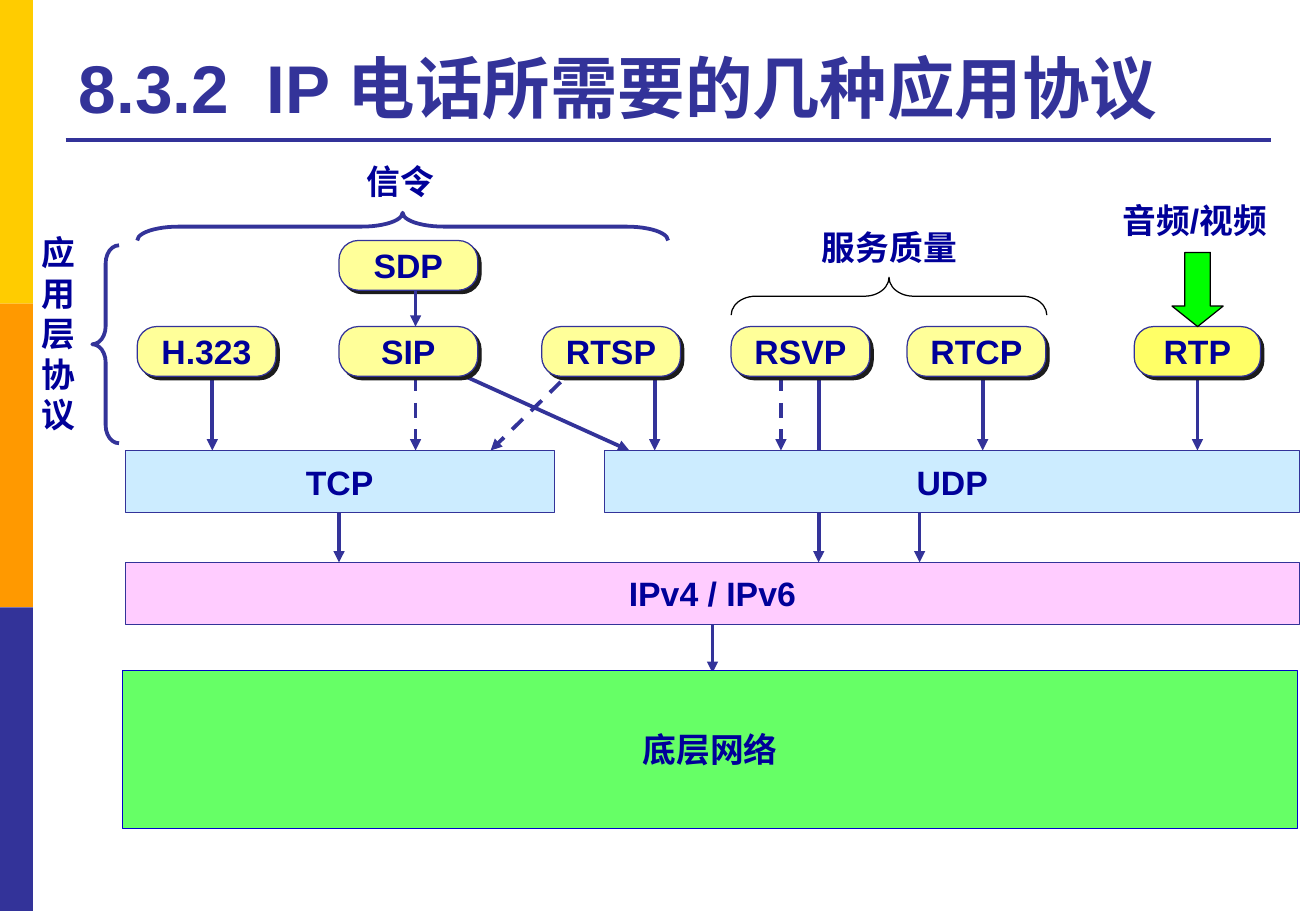
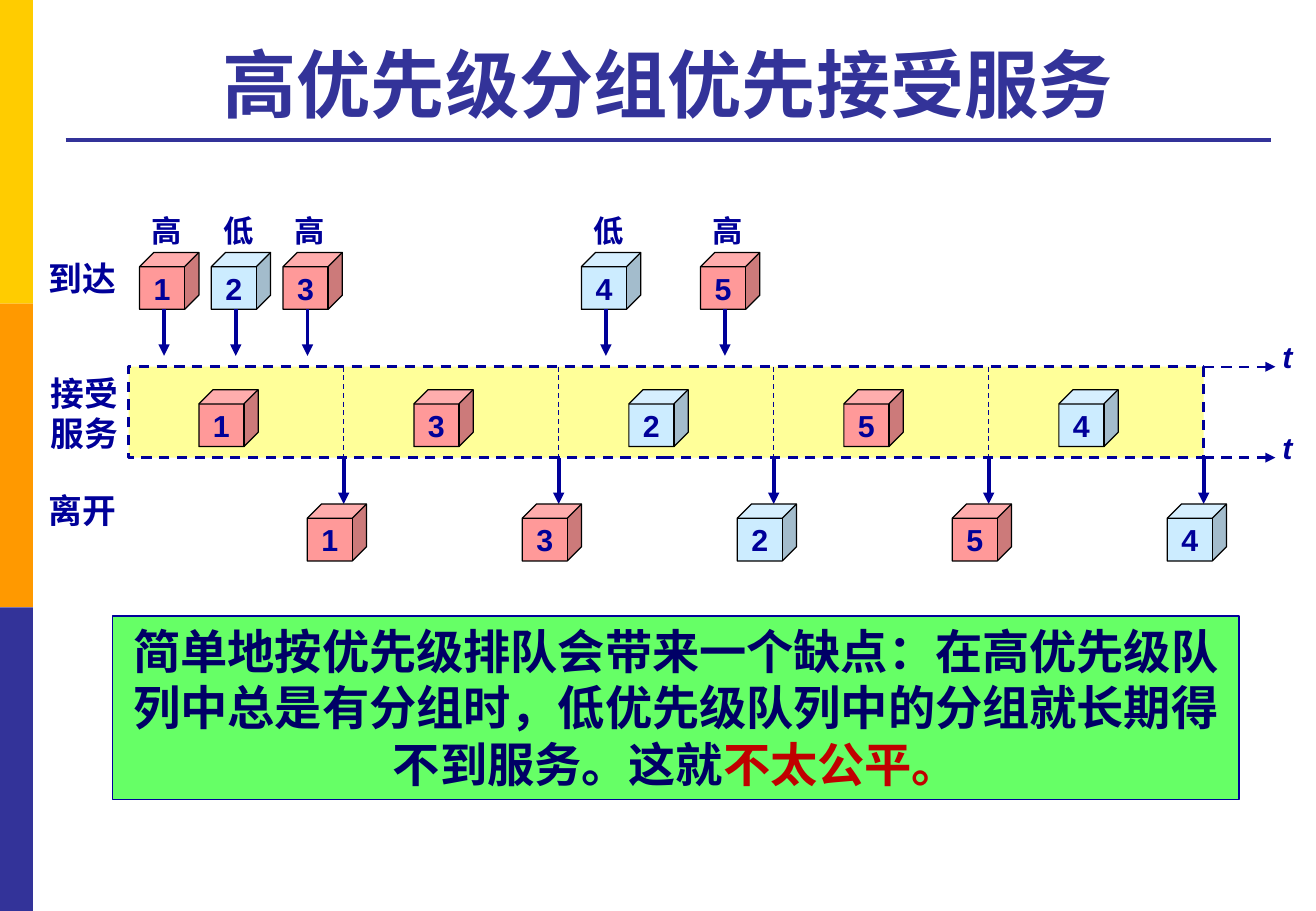
from dataclasses import dataclass

from lxml.etree import SubElement
from pptx import Presentation
from pptx.dml.color import RGBColor
from pptx.enum.dml import MSO_LINE_DASH_STYLE as Dash
from pptx.enum.shapes import MSO_CONNECTOR as Connector, MSO_SHAPE as Preset
from pptx.enum.text import MSO_ANCHOR as Anchor, PP_ALIGN as Align
from pptx.oxml.ns import qn
from pptx.util import Cm, Pt


@dataclass(frozen=True)
class Theme:
    font: str = "Arial"
    indigo: str = "333399"
    navy: str = "000099"
    deep_navy: str = "000066"
    blue: str = "0000CC"
    black: str = "000000"
    shadow: str = "1C1C1C"
    red: str = "C00000"
    gold: str = "FFCC00"
    orange: str = "FF9900"
    yellow: str = "FFFF99"
    bright_yellow: str = "FFFF66"
    sky: str = "CCECFF"
    pink: str = "FFCCFF"
    salmon: str = "FF9999"
    green: str = "66FF66"
    arrow_green: str = "00FF00"
    title: int = 44
    long_title: int = 40
    message: int = 28
    label: int = 20
    packet: int = 18
    thin: float = 0.75
    medium: float = 1.5
    thick: float = 2.25


@dataclass(frozen=True)
class Box:
    left: float
    top: float
    width: float
    height: float

    def inner(self, x, y, width, height):
        return Box(self.left + x, self.top + y, width, height)

    def lengths(self):
        return [Cm(v) for v in (self.left, self.top, self.width, self.height)]


THEME = Theme()
PAGE_WIDTH, PAGE_HEIGHT = 27.52, 19.05


def color(code):
    return RGBColor.from_string(code)


def style_font(font, size, code, italic=False):
    font.name = THEME.font
    font.size = Pt(size)
    font.bold = True
    font.italic = italic
    font.color.rgb = color(code)


def write(shape, lines, size=THEME.label, code=THEME.navy, align=Align.LEFT,
          anchor=Anchor.TOP, wrap=False, italic=False):
    frame = shape.text_frame
    frame.word_wrap = wrap
    frame.vertical_anchor = anchor
    for index, line in enumerate(lines):
        para = frame.paragraphs[0] if index == 0 else frame.add_paragraph()
        para.add_run().text = line
        para.alignment = align
        style_font(para.font, size, code, italic)
    return frame


def label(page, box, *lines, **style):
    return write(page.shapes.add_textbox(*box.lengths()), lines, **style)


def block(page, preset, box, fill=None, line=None, width=THEME.thin):
    shape = page.shapes.add_shape(preset, *box.lengths())
    shape.shadow.inherit = False
    if fill:
        shape.fill.solid()
        shape.fill.fore_color.rgb = color(fill)
    else:
        shape.fill.background()
    if line:
        shape.line.color.rgb = color(line)
        shape.line.width = Pt(width)
    else:
        shape.line.fill.background()
    return shape


def named_block(page, preset, box, text, fill, line=THEME.indigo, size=THEME.label):
    shape = block(page, preset, box, fill, line)
    frame = write(shape, [text], size, align=Align.CENTER, anchor=Anchor.MIDDLE)
    frame.margin_left = frame.margin_right = frame.margin_top = frame.margin_bottom = 0
    return shape


def stroke(page, box, start, end, code=THEME.indigo, width=THEME.thick,
           dashed=False, head=True):
    points = [Cm(v) for x, y in (start, end) for v in (box.left + x, box.top + y)]
    line = page.shapes.add_connector(Connector.STRAIGHT, *points)
    line.line.color.rgb = color(code)
    line.line.width = Pt(width)
    if dashed:
        line.line.dash_style = Dash.DASH
    if head:
        SubElement(line.line._get_or_add_ln(), qn("a:tailEnd"), type="triangle")
    SubElement(line.element.spPr, qn("a:effectLst"))


def brace(page, box, bend, line=THEME.indigo, width=THEME.thick, upward=False):
    frame = box
    if upward:
        shift = (box.width - box.height) / 2
        frame = box.inner(shift, -shift, box.height, box.width)
    shape = block(page, Preset.LEFT_BRACE, frame, line=line, width=width)
    shape.adjustments[0] = bend
    shape.rotation = 90 if upward else 0


def pill(page, box, text, fill=THEME.yellow):
    shape = named_block(page, Preset.ROUNDED_RECTANGLE, box, text, fill)
    shape.adjustments[0] = 0.39
    effects = shape.element.spPr.find(qn("a:effectLst"))
    shadow = SubElement(effects, qn("a:outerShdw"), dist=str(Pt(2.8)), dir="2700000",
                        algn="ctr", rotWithShape="0")
    SubElement(shadow, qn("a:srgbClr"), val=THEME.shadow)


def new_page(deck, title, size, align, tab=None):
    page = deck.slides.add_slide(deck.slide_layouts[6])
    height = PAGE_HEIGHT / 3
    for index, fill in enumerate((THEME.gold, THEME.orange, THEME.indigo)):
        block(page, Preset.RECTANGLE, Box(0, index * height, 0.69, height), fill)
    rule = Box(1.37, 2.92, 25.2, 0)
    stroke(page, rule, (0, 0), (rule.width, 0), head=False)
    shape = page.shapes.add_textbox(*Box(1.4, 0.53, 25.15, 2.26).lengths())
    if tab:
        properties = shape.text_frame.paragraphs[0]._p.get_or_add_pPr()
        stops = SubElement(properties, qn("a:tabLst"))
        SubElement(stops, qn("a:tab"), pos=str(Cm(tab)), algn="l")
    write(shape, [title], size, THEME.indigo, align, Anchor.BOTTOM, wrap=True)
    return page


def lower_layers(page, box):
    bar, gap_end = 1.3, 2.34
    stroke(page, box, (14.5, -1.55), (14.5, gap_end))
    for text, x, y, width, fill in (
        ("TCP", 0, 0, 8.97, THEME.sky),
        ("UDP", 10.03, 0, 14.53, THEME.sky),
        ("IPv4 / IPv6", 0, gap_end, box.width, THEME.pink),
    ):
        named_block(page, Preset.RECTANGLE, box.inner(x, y, width, bar), text, fill)
    for x in (4.47, 16.61):
        stroke(page, box, (x, bar), (x, gap_end))
    middle = box.width / 2
    stroke(page, box, (middle, gap_end + bar), (middle, 4.65))
    named_block(page, Preset.RECTANGLE, box.inner(-0.05, 4.6, box.width, 3.3),
                "底层网络", THEME.green, THEME.blue)


def application_layer(page, box):
    width, height, row = 2.9, 1.04, 1.8
    base, floor = row + height, box.height
    for x, dashed in ((1.57, False), (5.82, True), (10.82, False),
                      (13.46, True), (17.68, False), (22.17, False)):
        stroke(page, box, (x, base), (x, floor), dashed=dashed)
    stroke(page, box, (9.25, 2.57), (7.39, floor), dashed=True)
    stroke(page, box, (6.86, base), (10.29, floor))
    for text, x in (("H.323", 0), ("SIP", 4.22), ("RTSP", 8.46),
                    ("RSVP", 12.42), ("RTCP", 16.1)):
        pill(page, box.inner(x, row, width, height), text)
    pill(page, box.inner(20.85, row, 2.64, height), "RTP", THEME.bright_yellow)
    pill(page, box.inner(4.22, 0, width, height), "SDP")
    stroke(page, box, (5.82, height), (5.82, row))
    media = block(page, Preset.DOWN_ARROW, box.inner(21.64, 0.25, 1.07, 1.55),
                  THEME.arrow_green, THEME.black)
    media.adjustments[1] = 0.4


def application_groups(page, box):
    brace(page, box.inner(0, -0.58, 11.1, 0.58), 1.49, upward=True)
    brace(page, box.inner(12.42, 0.77, 6.6, 0.79), 0.65, THEME.black, THEME.thin, True)
    brace(page, box.inner(-0.94, 0.1, 0.56, 4.14), 0.67)
    label(page, box.inner(4.55, -1.8, 1.93, 1.12), "信令")
    label(page, box.inner(14.07, -0.41, 3.35, 1.12), "服务质量")
    label(page, box.inner(20.35, -0.97, 3.58, 1.12), "音频/视频", wrap=True)
    label(page, box.inner(-2.26, -0.3, 1.22, 4.52), *"应用层协议")


def packet(page, box, x, y, number):
    fill = THEME.salmon if number in (1, 3, 5) else THEME.sky
    named_block(page, Preset.CUBE, box.inner(x, y, 1.24, 1.19), str(number),
                fill, THEME.black, THEME.packet)


def arrivals(page, box):
    for number, x in enumerate((0.23, 1.73, 3.23, 9.47, 11.96), 1):
        priority = "高" if number in (1, 3, 5) else "低"
        label(page, box.inner(x, -3.35, 1.17, 1.02), priority, size=THEME.packet)
        packet(page, box, x, -2.39, number)
        stroke(page, box, (x + 0.51, -1.2), (x + 0.51, -0.23), THEME.navy)


def service(page, box):
    band = block(page, Preset.RECTANGLE, box, THEME.yellow, THEME.navy, THEME.medium)
    band.line.dash_style = Dash.DASH
    slot = box.width / 5
    for index, number in enumerate((1, 3, 2, 5, 4)):
        end = (index + 1) * slot
        if index < 4:
            stroke(page, box, (end, 0), (end, box.height), THEME.navy, THEME.thin,
                   dashed=True, head=False)
        packet(page, box, index * slot + 1.47, 0.48, number)
        stroke(page, box, (end, box.height), (end, 2.87), THEME.navy)
        packet(page, box, end - 0.76, 2.87, number)
    for y in (0, box.height):
        stroke(page, box, (box.width, y), (box.width + 1.5, y), THEME.navy,
               THEME.medium, dashed=True)
        label(page, box.inner(23.88, y - 0.73, 0.74, 1.02), "t",
              size=THEME.packet, italic=True)


def row_names(page, box):
    label(page, box.inner(-1.93, -2.41, 1.95, 1.12), "到达")
    label(page, box.inner(-1.88, 0, 1.95, 1.95), "接受", "服务")
    label(page, box.inner(-1.93, 2.44, 1.95, 1.12), "离开")


def message(page, box):
    panel = block(page, Preset.RECTANGLE, box, THEME.green, THEME.navy)
    text = ("简单地按优先级排队会带来一个缺点：在高优先级队列中总是有分组时，"
            "低优先级队列中的分组就长期得不到服务。这就")
    frame = write(panel, [text], THEME.message, THEME.deep_navy, Align.CENTER, wrap=True)
    span = frame.paragraphs[0].add_run()
    span.text = "不太公平。"
    span.font.color.rgb = color(THEME.red)


def protocol_page(deck):
    page = new_page(deck, "8.3.2\tIP 电话所需要的几种应用协议", THEME.long_title,
                    Align.LEFT, tab=3.93)
    lower_layers(page, Box(2.62, 9.42, 24.56, 7.9))
    applications = Box(2.87, 5.03, 23.49, 4.39)
    application_layer(page, applications)
    application_groups(page, applications)


def priority_page(deck):
    page = new_page(deck, "高优先级分组优先接受服务", THEME.title, Align.CENTER)
    timeline = Box(2.69, 7.67, 22.48, 1.9)
    arrivals(page, timeline)
    service(page, timeline)
    row_names(page, timeline)
    message(page, Box(2.36, 12.88, 23.55, 3.84))


def main():
    deck = Presentation()
    deck.slide_width, deck.slide_height = Cm(PAGE_WIDTH), Cm(PAGE_HEIGHT)
    protocol_page(deck)
    priority_page(deck)
    deck.save("out.pptx")


if __name__ == "__main__":
    main()
